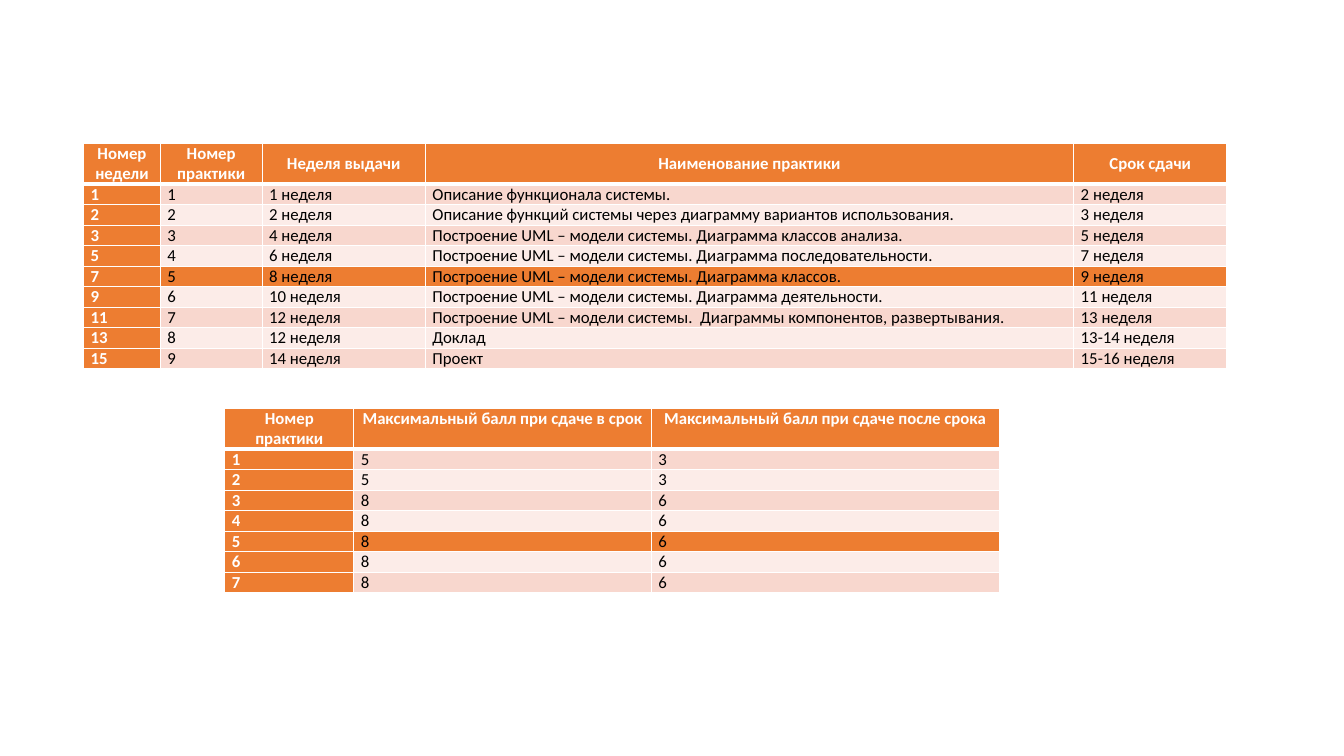
from dataclasses import dataclass

from pptx import Presentation
from pptx.dml.color import RGBColor
from pptx.enum.text import MSO_ANCHOR, PP_ALIGN
from pptx.oxml.ns import qn
from pptx.slide import Slide
from pptx.table import _Cell
from pptx.util import Emu, Pt
from lxml.etree import SubElement

EMU_PER_PX = 9144
SLIDE_WIDTH, SLIDE_HEIGHT = 1333, 750
HEADER_HEIGHT, ROW_HEIGHT = 40, 20
CELL_INSET = 7
HIGHLIGHTED_ROW = 5
ORANGE, WHITE, BLACK = "ED7D31", "FFFFFF", "000000"
BANDS = ("FCECE8", "F8D7CE")


@dataclass(frozen=True)
class Schedule:
    """A table with a header row, placed in px."""

    left: int
    top: int
    column_widths: tuple[int, ...]
    header_anchor: MSO_ANCHOR
    rows: tuple[tuple[str, ...], ...]


PRACTICES = Schedule(83, 142, (76, 101, 162, 643, 152), MSO_ANCHOR.MIDDLE, (
    ("Номер недели", "Номер практики", "Неделя выдачи", "Наименование практики", "Срок сдачи"),
    ("1", "1", "1 неделя", "Описание функционала системы.", "2 неделя"),
    ("2", "2", "2 неделя", "Описание функций системы через диаграмму вариантов использования.", "3 неделя"),
    ("3", "3", "4 неделя", "Построение UML – модели системы. Диаграмма классов анализа.", "5 неделя"),
    ("5", "4", "6 неделя", "Построение UML – модели системы. Диаграмма последовательности.", "7 неделя"),
    ("7", "5", "8 неделя", "Построение UML – модели системы. Диаграмма классов.", "9 неделя"),
    ("9", "6", "10 неделя", "Построение UML – модели системы. Диаграмма деятельности.", "11 неделя"),
    ("11", "7", "12 неделя", "Построение UML – модели системы.  Диаграммы компонентов, развертывания.", "13 неделя"),
    ("13", "8", "12 неделя", "Доклад", "13-14 неделя"),
    ("15", "9", "14 неделя", "Проект", "15-16 неделя"),
))

SCORES = Schedule(223, 405, (128, 295, 345), MSO_ANCHOR.TOP, (
    ("Номер практики", "Максимальный балл при сдаче в срок", "Максимальный балл при сдаче после срока"),
    ("1", "5", "3"),
    ("2", "5", "3"),
    ("3", "8", "6"),
    ("4", "8", "6"),
    ("5", "8", "6"),
    ("6", "8", "6"),
    ("7", "8", "6"),
))


def px(length: int) -> Emu:
    """Turn px into EMU."""
    return Emu(length * EMU_PER_PX)


def color(value: str) -> RGBColor:
    """Turn a hex string into a colour."""
    return RGBColor.from_string(value)


def add_borders(cell: _Cell, top: int, bottom: int) -> None:
    """Draw white borders, with the top and bottom widths in points."""
    properties = cell._tc.get_or_add_tcPr()
    for side, width in (("L", 1), ("R", 1), ("T", top), ("B", bottom)):
        line = SubElement(properties, qn(f"a:ln{side}"), w=str(Pt(width)))
        fill = SubElement(line, qn("a:solidFill"))
        SubElement(fill, qn("a:srgbClr"), val=WHITE)


def fill_cell(cell: _Cell, text: str, row: int, column: int, header_anchor: MSO_ANCHOR) -> None:
    """Write and format one cell according to its row and column."""
    is_header = row == 0
    is_heading = is_header or column == 0
    add_borders(cell, top=3 if row == 1 else 1, bottom=3 if is_header else 1)
    cell.fill.solid()
    is_orange = is_heading or row == HIGHLIGHTED_ROW
    cell.fill.fore_color.rgb = color(ORANGE if is_orange else BANDS[row % 2])
    cell.margin_left = cell.margin_right = px(CELL_INSET)
    cell.margin_top = cell.margin_bottom = 0
    cell.vertical_anchor = header_anchor if is_header else MSO_ANCHOR.TOP
    cell.text = text
    paragraph = cell.text_frame.paragraphs[0]
    paragraph.alignment = PP_ALIGN.CENTER if is_header else PP_ALIGN.JUSTIFY
    paragraph.font.name = "Calibri"
    paragraph.font.size = Pt(12)
    paragraph.font.bold = is_heading
    paragraph.font.color.rgb = color(WHITE if is_heading else BLACK)


def add_schedule(slide: Slide, schedule: Schedule) -> None:
    """Add one table to the slide."""
    heights = [HEADER_HEIGHT] + [ROW_HEIGHT] * (len(schedule.rows) - 1)
    table = slide.shapes.add_table(
        len(schedule.rows), len(schedule.column_widths),
        px(schedule.left), px(schedule.top),
        px(sum(schedule.column_widths)), px(sum(heights)),
    ).table
    table.first_col = True
    for column, width in zip(table.columns, schedule.column_widths):
        column.width = px(width)
    for row, height in zip(table.rows, heights):
        row.height = px(height)
    for row_index, texts in enumerate(schedule.rows):
        for column_index, text in enumerate(texts):
            cell = table.cell(row_index, column_index)
            fill_cell(cell, text, row_index, column_index, schedule.header_anchor)


def main() -> None:
    """Build the slide and save it."""
    presentation = Presentation()
    presentation.slide_width = px(SLIDE_WIDTH)
    presentation.slide_height = px(SLIDE_HEIGHT)
    slide = presentation.slides.add_slide(presentation.slide_layouts[6])
    for schedule in (PRACTICES, SCORES):
        add_schedule(slide, schedule)
    presentation.save("out.pptx")


if __name__ == "__main__":
    main()
